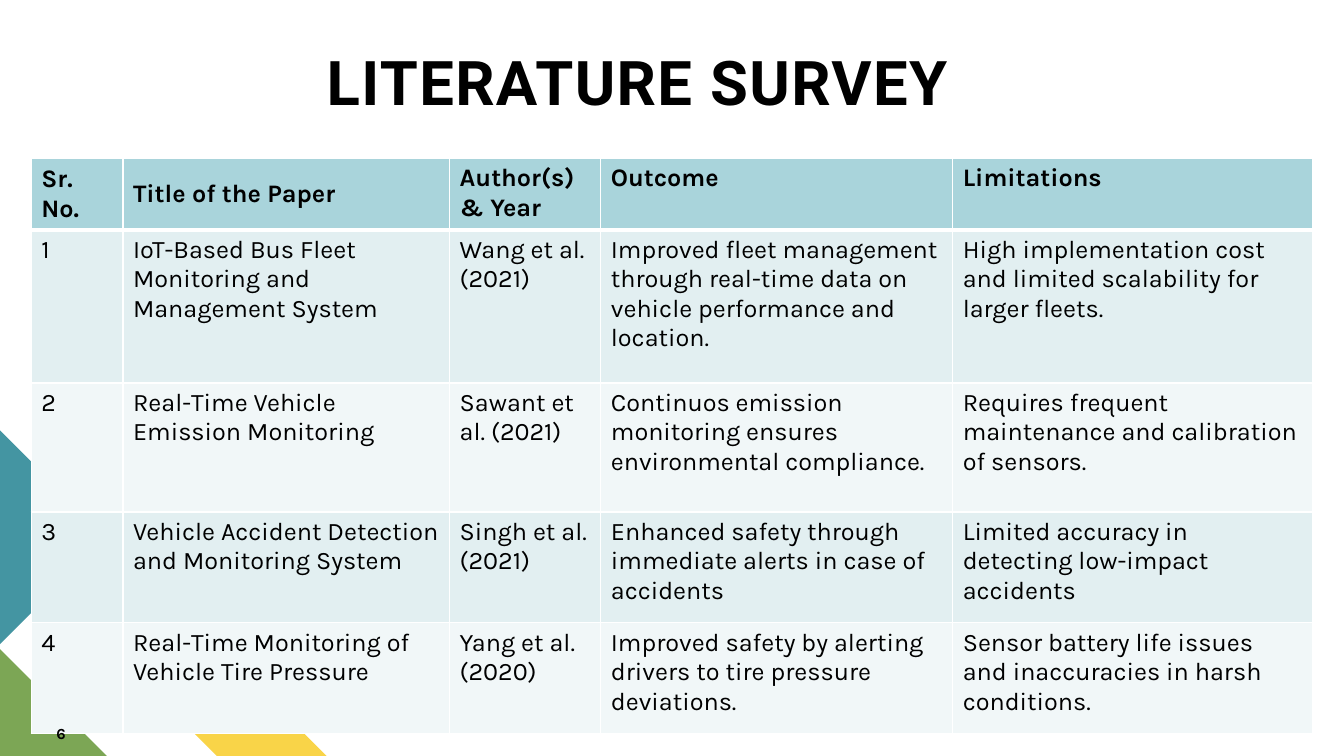
from dataclasses import dataclass

from lxml.etree import SubElement
from pptx import Presentation
from pptx.dml.color import RGBColor
from pptx.enum.text import MSO_ANCHOR as Anchor
from pptx.oxml.ns import qn
from pptx.slide import Slide
from pptx.table import _Cell as Cell
from pptx.text.text import TextFrame
from pptx.util import Inches, Pt

COLORS = {
    "text": "000000",
    "border": "FFFFFF",
    "header": "A9D4DB",
    "odd": "E2EFF1",
    "even": "F1F7F8",
    "yellow": "F9D448",
    "green": "7CA655",
    "teal": "4495A2",
}


@dataclass
class Ornament:
    color: str
    points: list[tuple[float, float]]


@dataclass
class Label:
    text: str
    box: tuple[float, float, float, float]
    font: str
    size: int
    anchor: Anchor
    line_spacing: float = 1.0
    letter_spacing: int = 0


@dataclass
class Paper:
    title: str
    authors: str
    outcome: str
    limitations: str


ORNAMENTS = [
    Ornament("yellow", [(3.24, 7.5), (2.15, 7.5), (1.06, 6.41), (1.61, 5.87)]),
    Ornament("green", [(1.06, 7.5), (0, 7.5), (0, 6.44)]),
    Ornament("teal", [(0, 4.27), (1.06, 5.33), (0, 6.39)]),
]

HEADING = Label("LITERATURE SURVEY", (3.24, 0.32, 7.35, 0.84), "Roboto", 44,
                Anchor.BOTTOM, line_spacing=0.8, letter_spacing=100)
PAGE_NUMBER = Label("6", (0.56, 7.18, 12.35, 0.32), "Karla", 11, Anchor.TOP)

HEADERS = ["Sr. No.", "Title of the Paper", "Author(s) & Year", "Outcome", "Limitations"]
COLUMN_WIDTHS = [0.91, 3.24, 1.5, 3.49, 3.57]
ROW_HEIGHTS = [0.71, 1.52, 1.28, 1.1, 1.1]
PAPERS = [
    Paper("IoT-Based Bus Fleet Monitoring and Management System",
          "Wang et al. (2021)",
          "Improved fleet management through real-time data on vehicle performance and location.",
          "High implementation cost and limited scalability for larger fleets."),
    Paper("Real-Time Vehicle Emission Monitoring",
          "Sawant et al. (2021)",
          "Continuos emission monitoring ensures environmental compliance.",
          "Requires frequent maintenance and calibration of sensors."),
    Paper("Vehicle Accident Detection and Monitoring System",
          "Singh et al. (2021)",
          "Enhanced safety through immediate alerts in case of accidents",
          "Limited accuracy in detecting low-impact accidents"),
    Paper("Real-Time Monitoring of Vehicle Tire Pressure",
          "Yang et al. (2020)",
          "Improved safety by alerting drivers to tire pressure deviations.",
          "Sensor battery life issues and inaccuracies in harsh conditions."),
]


def rgb(name: str) -> RGBColor:
    return RGBColor.from_string(COLORS[name])


def write(frame: TextFrame, text: str, font: str, size: int, bold: bool) -> None:
    frame.text = text
    style = frame.paragraphs[0].runs[0].font
    style.name, style.size, style.bold = font, Pt(size), bold
    style.color.rgb = rgb("text")


def draw_ornament(slide: Slide, ornament: Ornament) -> None:
    corners = [(Inches(x), Inches(y)) for x, y in ornament.points]
    builder = slide.shapes.build_freeform(*corners[0])
    builder.add_line_segments(corners[1:], close=True)
    outline = builder.convert_to_shape()
    outline.shadow.inherit = False
    outline.fill.solid()
    outline.fill.fore_color.rgb = rgb(ornament.color)
    outline.line.fill.background()


def draw_label(slide: Slide, label: Label) -> None:
    frame = slide.shapes.add_textbox(*map(Inches, label.box)).text_frame
    frame.word_wrap = True
    frame.vertical_anchor = label.anchor
    frame.margin_left = frame.margin_top = frame.margin_right = frame.margin_bottom = 0
    write(frame, label.text, label.font, label.size, True)
    line = frame.paragraphs[0]
    line.line_spacing = label.line_spacing
    line.runs[0].font._element.set("spc", str(label.letter_spacing))


def set_borders(cell: Cell, top: int, bottom: int) -> None:
    properties = cell._tc.get_or_add_tcPr()
    widths = {"a:lnL": 1, "a:lnR": 1, "a:lnT": top, "a:lnB": bottom}
    for position, (tag, width) in enumerate(widths.items()):
        border = SubElement(properties, qn(tag), w=str(Pt(width)))
        fill = SubElement(border, qn("a:solidFill"))
        SubElement(fill, qn("a:srgbClr"), val=COLORS["border"])
        properties.insert(position, border)


def draw_survey(slide: Slide) -> None:
    rows = [HEADERS] + [
        [str(number), paper.title, paper.authors, paper.outcome, paper.limitations]
        for number, paper in enumerate(PAPERS, 1)
    ]
    survey = slide.shapes.add_table(
        len(rows), len(HEADERS), Inches(0.31), Inches(1.57),
        Inches(sum(COLUMN_WIDTHS)), Inches(sum(ROW_HEIGHTS))).table
    for column, width in zip(survey.columns, COLUMN_WIDTHS):
        column.width = Inches(width)
    for row, height in zip(survey.rows, ROW_HEIGHTS):
        row.height = Inches(height)
    for r, texts in enumerate(rows):
        is_header = r == 0
        band = "header" if is_header else "odd" if r % 2 else "even"
        for c, text in enumerate(texts):
            cell = survey.cell(r, c)
            write(cell.text_frame, text, "Karla", 18, is_header)
            cell.vertical_anchor = Anchor.MIDDLE if is_header and c < 2 else Anchor.TOP
            cell.fill.solid()
            cell.fill.fore_color.rgb = rgb(band)
            set_borders(cell, top=3 if r == 1 else 1, bottom=3 if is_header else 1)


def main() -> None:
    deck = Presentation()
    deck.slide_width, deck.slide_height = Inches(13.33), Inches(7.5)
    slide = deck.slides.add_slide(deck.slide_layouts[6])
    for ornament in ORNAMENTS:
        draw_ornament(slide, ornament)
    draw_label(slide, HEADING)
    draw_survey(slide)
    draw_label(slide, PAGE_NUMBER)
    deck.save("out.pptx")


if __name__ == "__main__":
    main()
